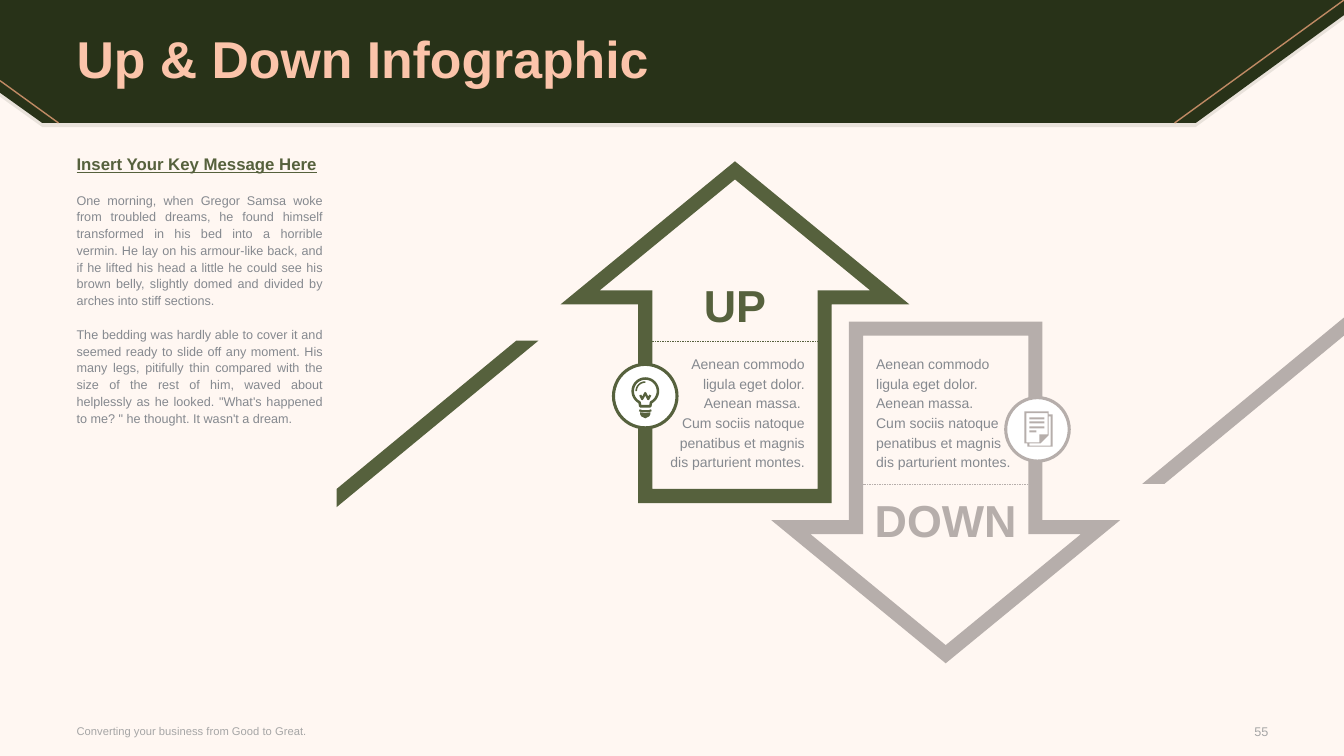
from dataclasses import dataclass
from math import cos, radians, sin

from lxml import etree
from pptx import Presentation
from pptx.dml.color import RGBColor
from pptx.enum.dml import MSO_LINE
from pptx.enum.shapes import MSO_CONNECTOR, MSO_SHAPE
from pptx.enum.text import MSO_ANCHOR, PP_ALIGN
from pptx.oxml.ns import qn
from pptx.util import Inches, Pt

LEFT, CENTER, RIGHT, JUSTIFY = PP_ALIGN.LEFT, PP_ALIGN.CENTER, PP_ALIGN.RIGHT, PP_ALIGN.JUSTIFY
TOP, MIDDLE = MSO_ANCHOR.TOP, MSO_ANCHOR.MIDDLE
STRAIGHT, ELLIPSE, DASH = MSO_CONNECTOR.STRAIGHT, MSO_SHAPE.OVAL, MSO_LINE.DASH


@dataclass(frozen=True)
class Theme:
    font: str = "Arial"
    background: str = "FFF7F2"
    header: str = "283218"
    title: str = "FBC4AA"
    trim: str = "C08A64"
    up: str = "56613D"
    down: str = "B6AEAB"
    body: str = "85898F"
    footer: str = "A6A6A6"
    white: str = "FFFFFF"
    title_size: float = 37
    label_size: float = 32
    heading_size: float = 12
    caption_size: float = 10
    body_size: float = 9
    footer_size: float = 8


class SlideBuilder:
    def __init__(self, slide, theme):
        self.slide, self.theme = slide, theme
        slide.background.fill.solid()
        slide.background.fill.fore_color.rgb = RGBColor.from_string(theme.background)

    def paint(self, shape, fill=None, line=None, weight=1, alpha=None):
        shape.shadow.inherit = False
        if fill:
            shape.fill.solid()
            shape.fill.fore_color.rgb = RGBColor.from_string(fill)
            if alpha:
                color = shape.fill._xPr.find(qn("a:solidFill"))[0]
                etree.SubElement(color, qn("a:alpha")).set("val", str(alpha * 1000))
        else:
            shape.fill.background()
        if line:
            shape.line.color.rgb = RGBColor.from_string(line)
            shape.line.width = Pt(weight)
        else:
            shape.line.fill.background()

    def outline(self, contours, closed=True, **style):
        """Draw point lists as one shape; an inner contour cuts a hole."""
        contours = [[(Inches(x), Inches(y)) for x, y in points] for points in contours]
        builder = self.slide.shapes.build_freeform(*contours[0][0])
        for index, points in enumerate(contours):
            if index:
                builder.move_to(*points[0])
            builder.add_line_segments(points[1:], close=closed)
        self.paint(builder.convert_to_shape(), **style)

    def circle(self, x, y, radius, **style):
        box = (x - radius, y - radius, 2 * radius, 2 * radius)
        self.paint(self.slide.shapes.add_shape(ELLIPSE, *map(Inches, box)), **style)

    def line(self, start, end, color, weight, dash=None):
        connector = self.slide.shapes.add_connector(STRAIGHT, *map(Inches, (*start, *end)))
        connector.line.color.rgb = RGBColor.from_string(color)
        connector.line.width = Pt(weight)
        if dash:
            connector.line.dash_style = dash
        etree.SubElement(connector._element.spPr, qn("a:effectLst"))

    def text(self, box, paragraphs, size, color, align=LEFT, anchor=TOP,
             spacing=None, gap=0, bold=False, heading=None):
        """Write paragraphs; heading holds font values for the first one."""
        frame = self.slide.shapes.add_textbox(*map(Inches, box)).text_frame
        frame_format = dict(word_wrap=True, vertical_anchor=anchor, margin_left=0,
                            margin_top=0, margin_right=0, margin_bottom=0)
        for name, value in frame_format.items():
            setattr(frame, name, value)
        for index, words in enumerate(paragraphs):
            paragraph = frame.add_paragraph() if index else frame.paragraphs[0]
            paragraph.alignment = align
            paragraph.line_spacing = spacing
            if index and gap:
                paragraph.space_before = Pt(gap)
            run = paragraph.add_run()
            run.text = words
            font_format = dict(name=self.theme.font, size=Pt(size), bold=bold)
            font_color = color
            if heading and index == 0:
                font_format.update(heading["font"])
                font_color = heading["color"]
            for name, value in font_format.items():
                setattr(run.font, name, value)
            run.font.color.rgb = RGBColor.from_string(font_color)

    def badge(self, x, y, color):
        self.circle(x, y, 0.315, fill=self.theme.white, line=color, weight=2.2)

    def bulb_icon(self, x, y, color):
        """Draw a light bulb whose glass is centred on x, y."""
        def placed(points):
            return [(x + dx, y + dy) for dx, dy in points]

        glass = arc(0.125, 117, 423) + [(0.05, 0.15), (-0.05, 0.15)]
        filament = [(-0.05, 0.04), (-0.03, 0.08), (0, 0.02), (0.03, 0.08), (0.05, 0.04)]
        band = [(-0.06, 0.19), (-0.03, 0.2), (0.03, 0.2), (0.06, 0.19)]
        plug = [(-0.05, 0.21), (0, 0.22), (0.05, 0.21), (0.05, 0.23), (0.04, 0.25),
                (0, 0.27), (-0.04, 0.25), (-0.05, 0.23)]
        self.outline([placed(glass)], line=color, weight=1.8)
        for stroke, weight in ((arc(0.09, 180, 270), 1.1), (filament, 1.6), (band, 1.5)):
            self.outline([placed(stroke)], closed=False, line=color, weight=weight)
        self.outline([placed(plug)], fill=color)

    def document_icon(self, x, y, color):
        """Draw two stacked pages with their top left corner at x, y."""
        pages = [
            [(0.24, 0.03), (0.24, 0), (0, 0), (0, 0.32), (0.03, 0.32), (0.03, 0.35),
             (0.28, 0.35), (0.28, 0.03)],
            [(0.02, 0.31), (0.02, 0.02), (0.23, 0.02), (0.23, 0.23), (0.15, 0.23), (0.15, 0.31)],
            [(0.26, 0.34), (0.05, 0.34), (0.05, 0.32), (0.16, 0.32), (0.24, 0.24),
             (0.24, 0.05), (0.26, 0.05)],
        ]
        for top, right in ((0.06, 0.2), (0.1, 0.2), (0.15, 0.2), (0.19, 0.12)):
            pages.append([(0.05, top), (right, top), (right, top + 0.02), (0.05, top + 0.02)])
        self.outline([[(x + dx, y + dy) for dx, dy in page] for page in pages], fill=color)


def arc(radius, start, end, step=9):
    return [(radius * cos(radians(a)), radius * sin(radians(a)))
            for a in range(start, end + 1, step)]


def half_turn(points):
    """Turn points by 180 degrees about the centre of the arrow pair."""
    return [(16.67 - x, 8.18 - y) for x, y in points]


def arrow_contour(center, tip, head, shoulder, stem, base):
    return [(center, tip), (center + head, shoulder), (center + stem, shoulder),
            (center + stem, base), (center - stem, base), (center - stem, shoulder),
            (center - head, shoulder)]


def draw_header(page, theme):
    header = [(11.86, 1.22), (0.42, 1.22), (0, 0.92), (0, 0), (13.33, 0), (13.33, 0.15)]
    page.outline([[(x, y + 0.04) for x, y in header]], fill=theme.header, alpha=10)
    page.outline([header], fill=theme.header)
    page.line((13.33, 0), (11.65, 1.22), theme.trim, 1)
    page.line((0.58, 1.22), (0, 0.8), theme.trim, 1)
    page.text((0.76, 0.03, 11.81, 1.17), ["Up & Down Infographic"], theme.title_size,
              theme.title, anchor=MIDDLE, spacing=0.9, bold=True)


def draw_message(page, theme):
    message = [
        "Insert Your Key Message Here",
        "One morning, when Gregor Samsa woke from troubled dreams, he found himself transformed "
        "in his bed into a horrible vermin. He lay on his armour-like back, and if he lifted his "
        "head a little he could see his brown belly, slightly domed and divided by arches into "
        "stiff sections.",
        "The bedding was hardly able to cover it and seemed ready to slide off any moment. His "
        "many legs, pitifully thin compared with the size of the rest of him, waved about "
        "helplessly as he looked. \"What's happened to me? \" he thought. It wasn't a dream.",
    ]
    heading = dict(font=dict(size=Pt(theme.heading_size), bold=True, underline=True),
                   color=theme.up)
    page.text((0.76, 1.56, 2.44, 5.19), message, theme.body_size, theme.body,
              align=JUSTIFY, spacing=Pt(12), gap=12, heading=heading)


def draw_arrows(page, theme):
    up_arrow = [arrow_contour(7.29, 1.6, 1.73, 3.02, 0.96, 4.99),
                arrow_contour(7.29, 1.78, 1.34, 2.88, 0.82, 4.85)]
    ribbon = [(5.34, 3.38), (3.34, 5.03), (3.34, 4.85), (5.12, 3.38)]
    divider = [(6.47, 3.38), (8.11, 3.38)]
    for color, turn in ((theme.down, half_turn), (theme.up, list)):
        page.outline([turn(contour) for contour in up_arrow], fill=color)
        page.outline([turn(ribbon)], fill=color)
        page.line(*turn(divider), color, 0.25, DASH)
    page.badge(10.29, 4.26, theme.down)
    page.document_icon(10.16, 4.08, theme.down)
    page.badge(6.4, 3.93, theme.up)
    page.bulb_icon(6.4, 3.88, theme.up)

    caption = ["Aenean commodo ligula eget dolor. Aenean massa. ",
               "Cum sociis natoque penatibus et magnis dis parturient montes."]
    for left, align in ((6.6, RIGHT), (8.69, LEFT)):
        page.text((left, 3.5, 1.38, 1.18), caption, theme.caption_size, theme.body,
                  align=align, spacing=Pt(14))
    for label, box, color in (("UP", (6.6, 2.76, 1.38, 0.54), theme.up),
                              ("DOWN", (8.61, 4.89, 1.54, 0.54), theme.down)):
        page.text(box, [label], theme.label_size, color, align=CENTER, bold=True)


def main():
    presentation = Presentation()
    presentation.slide_width, presentation.slide_height = Inches(13.33), Inches(7.5)
    theme = Theme()
    page = SlideBuilder(presentation.slides.add_slide(presentation.slide_layouts[6]), theme)
    draw_header(page, theme)
    draw_message(page, theme)
    page.text((0.76, 7.12, 5.23, 0.26), ["Converting your business from Good to Great."],
              theme.footer_size, theme.footer, anchor=MIDDLE)
    page.text((11.95, 7.13, 0.63, 0.26), ["55"], theme.body_size, theme.footer,
              align=RIGHT, anchor=MIDDLE)
    draw_arrows(page, theme)
    presentation.save("out.pptx")


if __name__ == "__main__":
    main()
